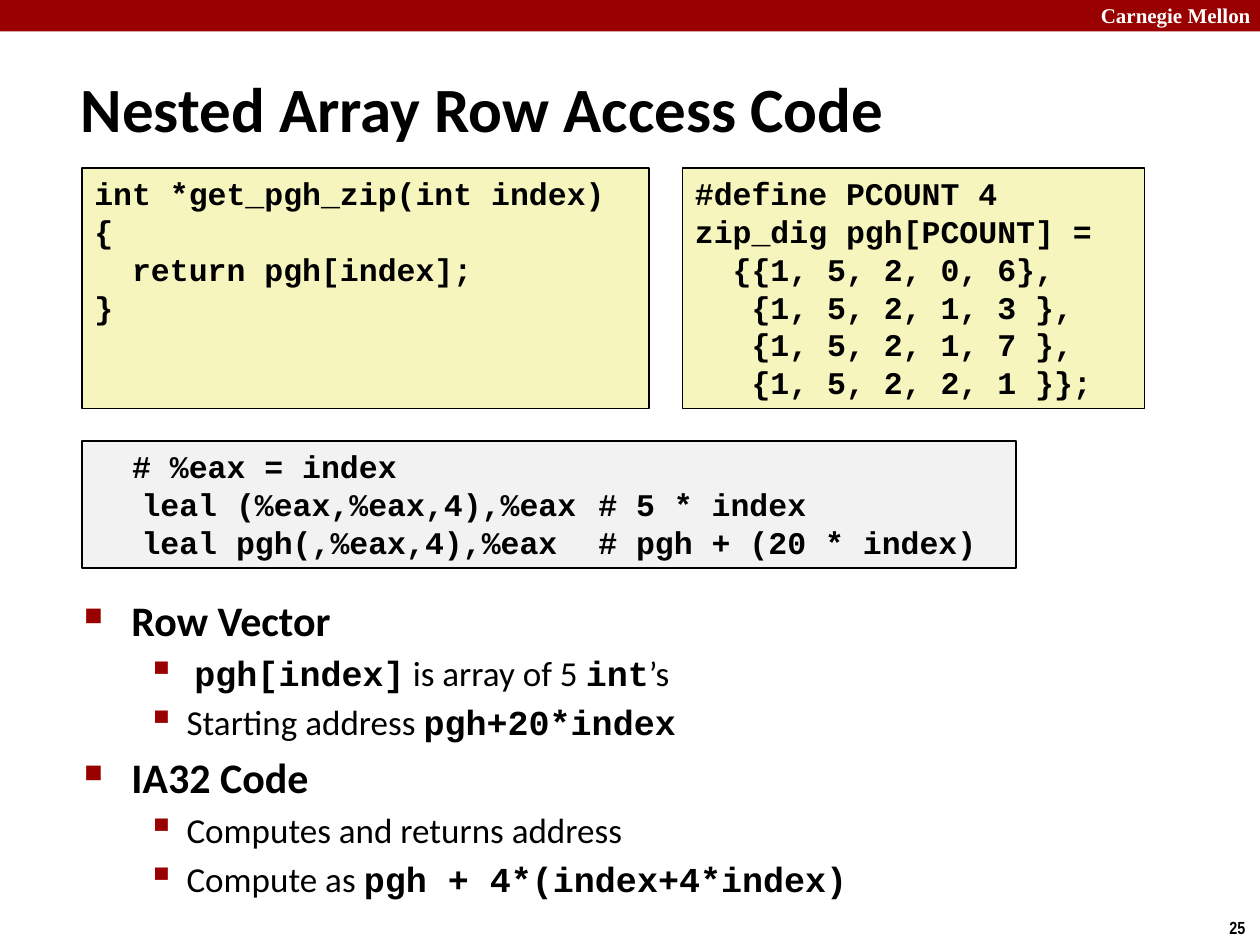
from lxml import etree
from pptx import Presentation
from pptx import util as u
from pptx.dml.color import RGBColor
from pptx.enum import shapes, text
from pptx.oxml import ns

Pt = u.Pt
RED = RGBColor(0x99, 0x00, 0x00)
BLACK = RGBColor(0, 0, 0)
WHITE = RGBColor(255, 255, 255)
YELLOW = RGBColor(0xF6, 0xF5, 0xBD)
GRAY = RGBColor(0xF2, 0xF2, 0xF2)

BODY_FONT, CODE_FONT = "Calibri", "Courier New"
LEFT, CODE_TOP, CODE_HEIGHT = 46.8, 96, 137.5

# Per level: left margin, hanging indent, bullet, bullet size in %, text size, bold
LEVELS = [
    (27, 27, "■", 60, 24, True),
    (58.5, 22.5, "▪", 110, 20, False),
]

ZIP_FUNCTION = """int *get_pgh_zip(int index)
{
  return pgh[index];
}"""
ZIP_DATA = """#define PCOUNT 4
zip_dig pgh[PCOUNT] =
  {{1, 5, 2, 0, 6},
   {1, 5, 2, 1, 3 },
   {1, 5, 2, 1, 7 },
   {1, 5, 2, 2, 1 }};"""
ASSEMBLY = """  # %eax = index
\tleal (%eax,%eax,4),%eax\t# 5 * index
\tleal pgh(,%eax,4),%eax\t# pgh + (20 * index)"""

# Level and text; backticks enclose code
OUTLINE = [
    (0, "Row Vector"),
    (1, " `pgh[index]` is array of 5 `int`’s"),
    (1, "Starting address `pgh+20*index`"),
    (0, "IA32 Code"),
    (1, "Computes and returns address"),
    (1, "Compute as `pgh + 4*(index+4*index)`"),
]


class SlideBuilder:
    def __init__(self, slide):
        self.slide = slide

    def style(self, font, name, size, color=BLACK, bold=True):
        font.name, font.size, font.bold = name, Pt(size), bold
        font.color.rgb = color

    def add_property(self, paragraph, tag, **attributes):
        properties = paragraph._p.get_or_add_pPr()
        return etree.SubElement(properties, ns.qn(tag), attributes)

    def rectangle(self, left, top, width, height, fill, line=None):
        shape = self.slide.shapes.add_shape(
            shapes.MSO_SHAPE.RECTANGLE, Pt(left), Pt(top), Pt(width), Pt(height))
        shape.shadow.inherit = False
        shape.fill.solid()
        shape.fill.fore_color.rgb = fill
        if line is None:
            shape.line.fill.background()
        else:
            shape.line.color.rgb = line
            shape.line.width = Pt(1)
        return shape

    def text_box(self, left, top, width, height):
        shape = self.slide.shapes.add_textbox(Pt(left), Pt(top), Pt(width), Pt(height))
        shape.text_frame.word_wrap = True
        return shape.text_frame

    def label(self, left, top, width, height, words, name, size, color=BLACK,
              anchor=text.MSO_ANCHOR.TOP):
        frame = self.text_box(left, top, width, height)
        frame.vertical_anchor = anchor
        frame.text = words
        self.style(frame.paragraphs[0].runs[0].font, name, size, color)

    def code(self, left, top, width, height, source, fill, tabs=()):
        frame = self.rectangle(left, top, width, height, fill, BLACK).text_frame
        frame.vertical_anchor = text.MSO_ANCHOR.TOP
        frame.text = source
        for paragraph in frame.paragraphs:
            paragraph.alignment = text.PP_ALIGN.LEFT
            if tabs:
                tab_list = self.add_property(paragraph, "a:tabLst")
                for position in tabs:
                    etree.SubElement(tab_list, ns.qn("a:tab"),
                                     pos=str(Pt(position)), algn="l")
            for run in paragraph.runs:
                self.style(run.font, CODE_FONT, 18)

    def bullet(self, paragraph, level):
        margin, hanging, character, percent = LEVELS[level][:4]
        properties = paragraph._p.get_or_add_pPr()
        properties.set("marL", str(Pt(margin)))
        properties.set("indent", str(-Pt(hanging)))
        color = self.add_property(paragraph, "a:buClr")
        etree.SubElement(color, ns.qn("a:srgbClr"), val=str(RED))
        self.add_property(paragraph, "a:buSzPct", val=str(percent * 1000))
        self.add_property(paragraph, "a:buChar", char=character)

    def outline(self, left, top, width, height, items):
        frame = self.text_box(left, top, width, height)
        for index, (level, words) in enumerate(items):
            paragraph = frame.add_paragraph() if index else frame.paragraphs[0]
            size, bold = LEVELS[level][4:]
            paragraph.level = level
            if index:
                paragraph.space_before = Pt(size * 0.2)
            self.bullet(paragraph, level)
            for part, fragment in enumerate(words.split("`")):
                if fragment:
                    is_code = part % 2 == 1
                    run = paragraph.add_run()
                    run.text = fragment
                    self.style(run.font, CODE_FONT if is_code else BODY_FONT,
                               size, bold=bold or is_code)


def main():
    presentation = Presentation()
    presentation.slide_width, presentation.slide_height = Pt(720), Pt(540)
    builder = SlideBuilder(presentation.slides.add_slide(presentation.slide_layouts[6]))

    builder.rectangle(0, 0, 720, 18, RED)
    builder.label(622, -2, 103, 21.6, "Carnegie Mellon", "Times New Roman", 12, WHITE)
    builder.label(695.5, 520.5, 24.5, 19.5, "25", "Arial Narrow", 10)
    builder.label(39, 39, 602, 45, "Nested Array Row Access Code", BODY_FONT, 36,
                  anchor=text.MSO_ANCHOR.MIDDLE)
    builder.outline(41, 336, 583, 192, OUTLINE)
    builder.code(LEFT, CODE_TOP, 324, CODE_HEIGHT, ZIP_FUNCTION, YELLOW)
    builder.code(LEFT, 252, 534, 72.7, ASSEMBLY, GRAY, tabs=(27, 207))
    builder.code(390, CODE_TOP, 264, CODE_HEIGHT, ZIP_DATA, YELLOW)

    presentation.save("out.pptx")


if __name__ == "__main__":
    main()
